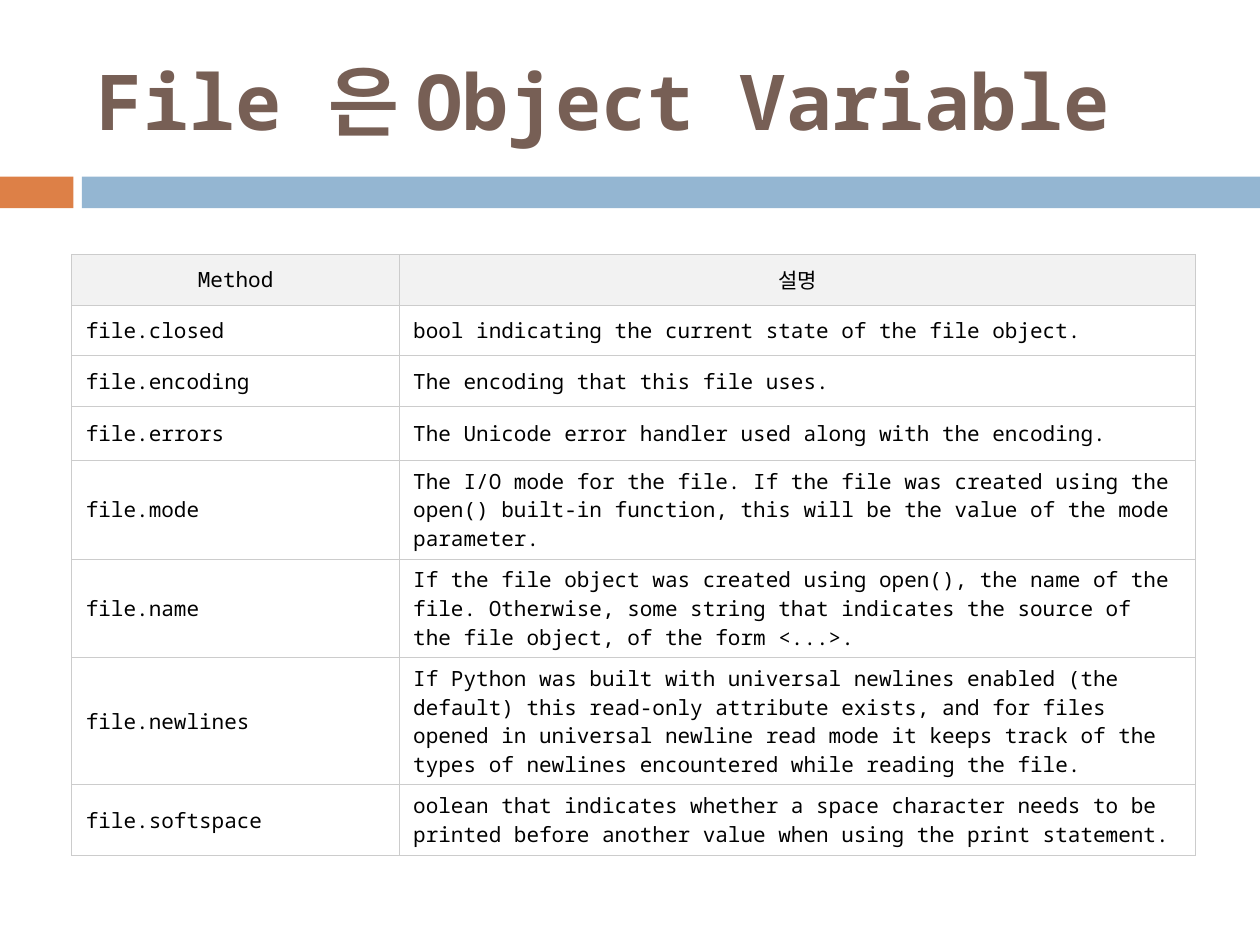
"""Builds a slide listing the attributes of Python file objects."""
import pptx
import pptx.dml.color
import pptx.enum.shapes
import pptx.enum.text
import pptx.oxml
import pptx.oxml.ns
import pptx.util
from pptx.util import Cm

BROWN = pptx.dml.color.RGBColor(0x77, 0x5F, 0x55)
ORANGE = pptx.dml.color.RGBColor(0xDD, 0x80, 0x47)
BLUE = pptx.dml.color.RGBColor(0x94, 0xB6, 0xD2)
BLACK = pptx.dml.color.RGBColor(0, 0, 0)
WHITE = pptx.dml.color.RGBColor(0xFF, 0xFF, 0xFF)
HEADER_GREY = pptx.dml.color.RGBColor(0xF2, 0xF2, 0xF2)
BORDER_GREY = pptx.dml.color.RGBColor(0xCC, 0xCC, 0xCC)
LEFT = pptx.enum.text.PP_ALIGN.LEFT
CENTER = pptx.enum.text.PP_ALIGN.CENTER
MIDDLE = pptx.enum.text.MSO_ANCHOR.MIDDLE


def write(frame, text, size=12, color=BLACK, bold=False, align=LEFT):
    paragraph = frame.paragraphs[0]
    paragraph.alignment = align
    run = paragraph.add_run()
    run.text = text
    run.font.name = "Noto Sans Mono"
    run.font.size = pptx.util.Pt(size)
    run.font.bold = bold
    run.font.color.rgb = color


def add_borders(cell):
    properties = cell._tc.get_or_add_tcPr()
    for side in ("lnL", "lnR", "lnT", "lnB"):
        properties.append(pptx.oxml.parse_xml(
            f'<a:{side} {pptx.oxml.ns.nsdecls("a")} w="{pptx.util.Pt(0.6)}">'
            f'<a:solidFill><a:srgbClr val="{BORDER_GREY}"/></a:solidFill></a:{side}>'))


attributes = [
    ("Method", "설명", 1.02),
    ("file.closed", "bool indicating the current state of the file object.", 1.02),
    ("file.encoding", "The encoding that this file uses.", 1.02),
    ("file.errors", "The Unicode error handler used along with the encoding.", 1.09),
    ("file.mode", "The I/O mode for the file. If the file was created using the open() "
     "built-in function, this will be the value of the mode parameter.", 1.02),
    ("file.name", "If the file object was created using open(), the name of the file. "
     "Otherwise, some string that indicates the source of the file object, "
     "of the form <...>.", 1.78),
    ("file.newlines", "If Python was built with universal newlines enabled (the default) "
     "this read-only attribute exists, and for files opened in universal newline read "
     "mode it keeps track of the types of newlines encountered while reading the file.",
     1.19),
    ("file.softspace", "oolean that indicates whether a space character needs to be "
     "printed before another value when using the print statement.", 1.02),
]

deck = pptx.Presentation()
deck.slide_width, deck.slide_height = Cm(25.4), Cm(19.05)
slide = deck.slides.add_slide(deck.slide_layouts[5])

for left, width, color in ((0, 1.48, ORANGE), (1.65, 23.75, BLUE)):
    band = slide.shapes.add_shape(
        pptx.enum.shapes.MSO_SHAPE.RECTANGLE, Cm(left), Cm(3.56), Cm(width), Cm(0.64))
    band.shadow.inherit = False
    band.fill.solid()
    band.fill.fore_color.rgb = color
    band.line.fill.background()

title = slide.shapes.title
title.left, title.top, title.width, title.height = Cm(1.7), Cm(0.64), Cm(22.66), Cm(2.74)
title.text_frame.vertical_anchor = MIDDLE
title.text_frame.auto_size = pptx.enum.text.MSO_AUTO_SIZE.NONE
write(title.text_frame, "File 은 Object Variable", size=44, color=BROWN, bold=True)

table = slide.shapes.add_table(
    len(attributes), 2, Cm(1.45), Cm(5.13), Cm(22.65), Cm(9.16)).table
table.columns[0].width, table.columns[1].width = Cm(6.6), Cm(16.05)
for row, (method, description, height) in enumerate(attributes):
    table.rows[row].height = Cm(height)
    for column, text in enumerate((method, description)):
        cell = table.cell(row, column)
        cell.vertical_anchor = MIDDLE
        cell.margin_left = cell.margin_right = Cm(0.28)
        cell.margin_top = cell.margin_bottom = Cm(0.13)
        add_borders(cell)
        cell.fill.solid()
        cell.fill.fore_color.rgb = WHITE if row else HEADER_GREY
        write(cell.text_frame, text, align=LEFT if row else CENTER)

deck.save("out.pptx")
